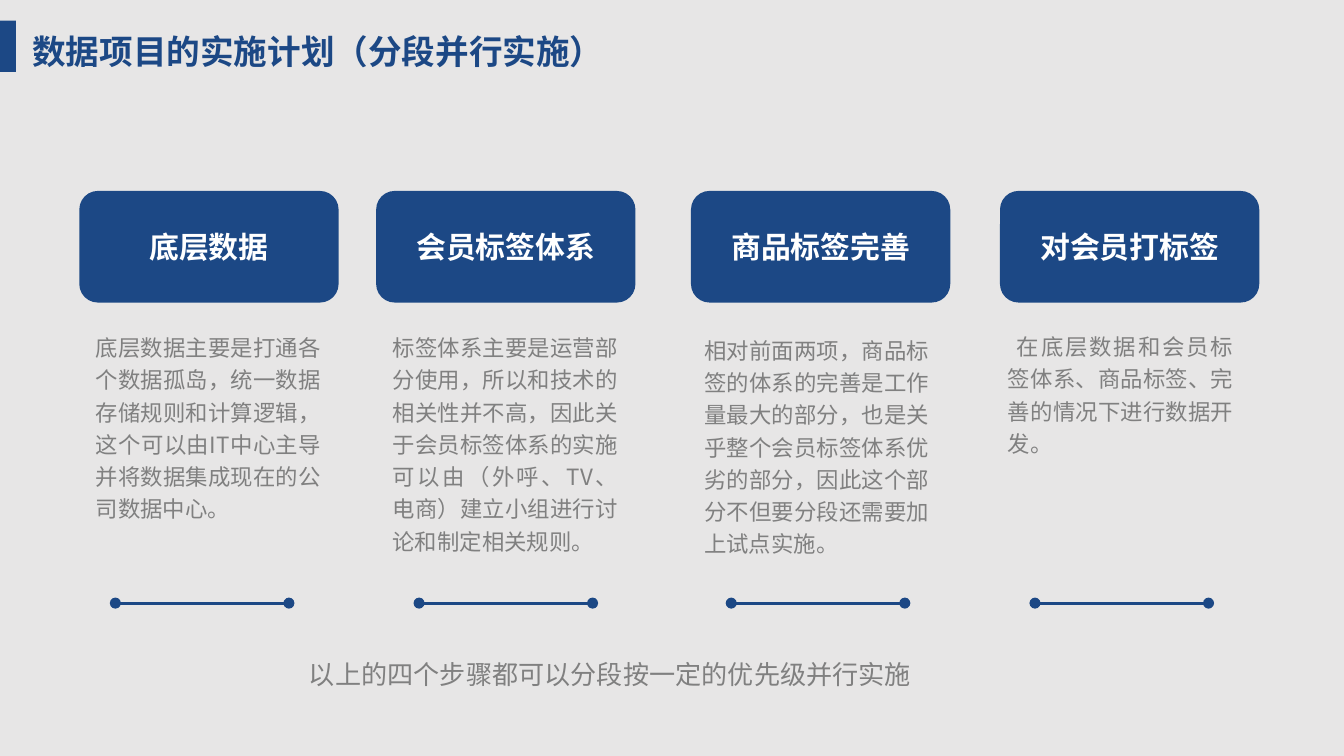
from lxml import etree
from pptx import Presentation
from pptx.dml.color import RGBColor
from pptx.enum.shapes import MSO_CONNECTOR, MSO_SHAPE
from pptx.enum.text import MSO_ANCHOR, PP_ALIGN
from pptx.oxml.ns import qn
from pptx.util import Cm, Pt

RECT, ROUND = MSO_SHAPE.RECTANGLE, MSO_SHAPE.ROUNDED_RECTANGLE
STRAIGHT = MSO_CONNECTOR.STRAIGHT
MIDDLE = MSO_ANCHOR.MIDDLE
LEFT, CENTER, JUSTIFY = PP_ALIGN.LEFT, PP_ALIGN.CENTER, PP_ALIGN.JUSTIFY

FONT = "Noto Sans CJK SC"
BLUE, GRAY, WHITE, PAPER = "1C4885", "808080", "FFFFFF", "E7E6E6"
CARD_TOP, CARD_W, CARD_H = 3.61, 4.9, 2.11
NOTE_W = 4.62
RULE_TOP, RULE_W = 11.4, 3.28
INSETS = {
    "margin_left": Cm(0.18), "margin_right": Cm(0.18),
    "margin_top": Cm(0.1), "margin_bottom": Cm(0.1),
}

# heading, card left, note (left, top, height), rule left, note text
STEPS = [
    ("底层数据", 1.5, (1.63, 6.12, 3.89), 2.18,
     "底层数据主要是打通各个数据孤岛，统一数据存储规则和计算逻辑，"
     "这个可以由IT中心主导并将数据集成现在的公司数据中心。"),
    ("会员标签体系", 7.11, (7.24, 6.12, 4.5), 7.92,
     "标签体系主要是运营部分使用，所以和技术的相关性并不高，因此关于会员标签体系的实施"
     "可以由（外呼、TV、电商）建立小组进行讨论和制定相关规则。"),
    ("商品标签完善", 13.06, (13.13, 6.17, 4.5), 13.82,
     "相对前面两项，商品标签的体系的完善是工作量最大的部分，也是关乎整个会员标签体系"
     "优劣的部分，因此这个部分不但要分段还需要加上试点实施。"),
    ("对会员打标签", 18.9, (18.87, 6.1, 2.67), 19.56,
     " 在底层数据和会员标签体系、商品标签、完善的情况下进行数据开发。"),
]


def color(code):
    return RGBColor.from_string(code)


def apply(target, values):
    for name, value in values.items():
        setattr(target, name, value)


def write(frame, text, size, code, bold=False, align=LEFT, space=1.0):
    """Fill the frame with one paragraph, in Latin and East Asian fonts."""
    frame.word_wrap = True
    para = frame.paragraphs[0]
    apply(para, {"alignment": align, "line_spacing": space})
    run = para.add_run()
    run.text = text
    apply(run.font, {"size": Pt(size), "bold": bold, "name": FONT})
    run.font.color.rgb = color(code)
    etree.SubElement(run.font._element, qn("a:ea"), typeface=FONT)


def add_text(slide, box, text, size, code, insets=None, **style):
    frame = slide.shapes.add_textbox(*map(Cm, box)).text_frame
    apply(frame, insets or {})
    write(frame, text, size, code, **style)


def add_block(slide, kind, box):
    shape = slide.shapes.add_shape(kind, *map(Cm, box))
    shape.shadow.inherit = False
    shape.fill.solid()
    shape.fill.fore_color.rgb = color(BLUE)
    shape.line.fill.background()
    return shape


def add_card(slide, left, text):
    card = add_block(slide, ROUND, (left, CARD_TOP, CARD_W, CARD_H))
    card.text_frame.vertical_anchor = MIDDLE
    write(card.text_frame, text, 16, WHITE, bold=True, align=CENTER)


def add_rule(slide, left):
    """Draw a line with a dot at each end."""
    ends = (left, RULE_TOP, left + RULE_W, RULE_TOP)
    rule = slide.shapes.add_connector(STRAIGHT, *map(Cm, ends))
    rule.line.width = Pt(1.5)
    rule.line.color.rgb = color(BLUE)
    for end in ("a:headEnd", "a:tailEnd"):
        etree.SubElement(rule.line._get_or_add_ln(), qn(end), type="oval")
    etree.SubElement(rule._element.spPr, qn("a:effectLst"))


def main():
    deck = Presentation()
    apply(deck, {"slide_width": Cm(25.4), "slide_height": Cm(14.29)})
    slide = deck.slides.add_slide(deck.slide_layouts[6])
    slide.background.fill.solid()
    slide.background.fill.fore_color.rgb = color(PAPER)

    add_text(slide, (0.36, 0.46, 13.46, 1.02),
             "数据项目的实施计划（分段并行实施）", 18, BLUE, bold=True)
    add_block(slide, RECT, (0, 0.39, 0.3, 0.97))

    body = {"insets": INSETS, "align": JUSTIFY, "space": 1.2}
    for head, card_x, (note_x, note_y, note_h), rule_x, note in STEPS:
        add_text(slide, (note_x, note_y, NOTE_W, note_h), note, 12, GRAY, **body)
        add_rule(slide, rule_x)
        add_card(slide, card_x, head)

    add_text(slide, (5.66, 12.22, 14, 0.91),
             "以上的四个步骤都可以分段按一定的优先级并行实施", 14, GRAY, **body)
    deck.save("out.pptx")


if __name__ == "__main__":
    main()
